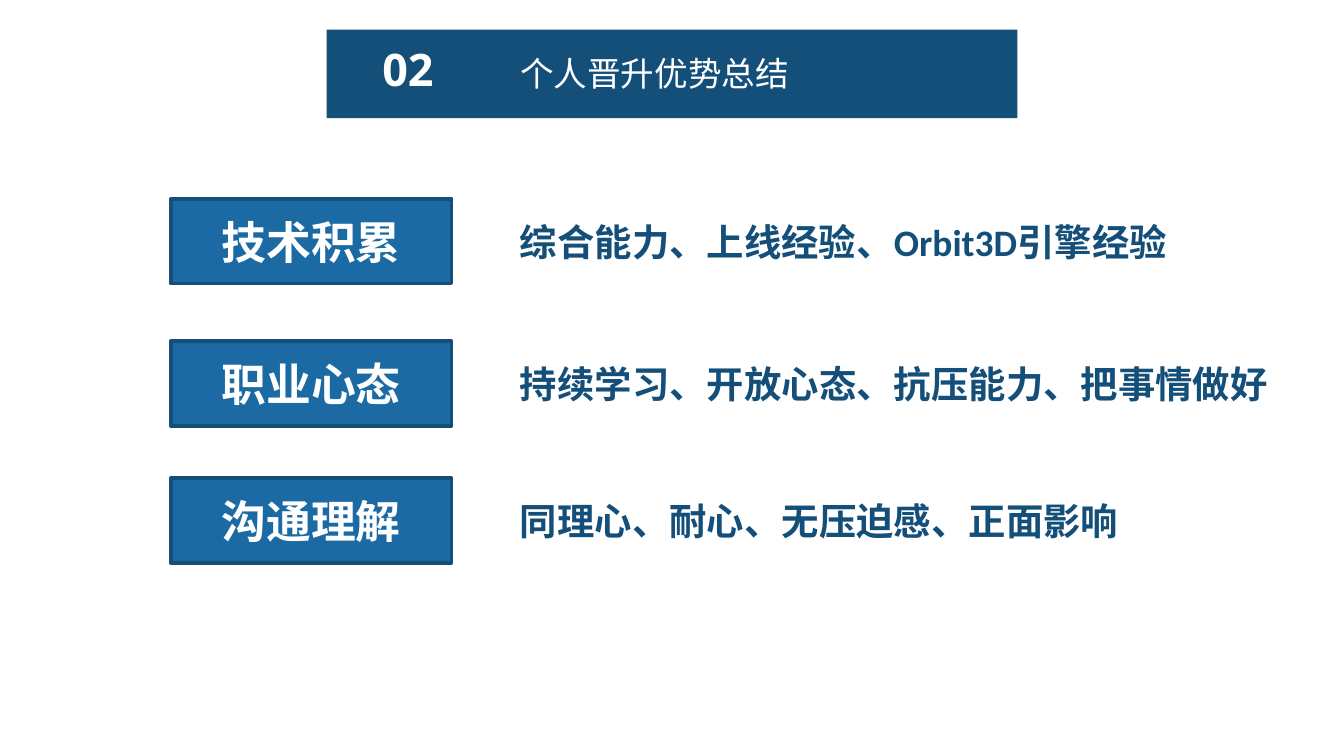
import pptx
import pptx.util
import pptx.dml.color
import pptx.enum.shapes
import pptx.enum.text
import pptx.oxml.ns
import lxml.etree
from pptx.util import Inches

NAVY = pptx.dml.color.RGBColor(0x14, 0x4F, 0x7A)
BORDER = pptx.dml.color.RGBColor(0x14, 0x4E, 0x79)
BLUE = pptx.dml.color.RGBColor(0x1B, 0x6A, 0xA3)
WHITE = pptx.dml.color.RGBColor(0xFF, 0xFF, 0xFF)
CJK = "Noto Sans CJK SC"
RECT = pptx.enum.shapes.MSO_SHAPE.RECTANGLE
ALIGN = pptx.enum.text.PP_ALIGN
ANCHOR = pptx.enum.text.MSO_ANCHOR


def write(sp, text, size, color, font="Calibri", bold=True, align=ALIGN.LEFT, anchor=ANCHOR.TOP):
    tf = sp.text_frame
    tf.word_wrap = True
    tf.auto_size = pptx.enum.text.MSO_AUTO_SIZE.NONE
    tf.vertical_anchor = anchor
    p = tf.paragraphs[0]
    p.alignment = align
    r = p.add_run()
    r.text = text
    r.font.size = pptx.util.Pt(size)
    r.font.bold = bold
    r.font.color.rgb = color
    r.font.name = font
    ea = lxml.etree.SubElement(r.font._element, pptx.oxml.ns.qn("a:ea"))
    ea.set("typeface", CJK)


prs = pptx.Presentation()
prs.slide_width = Inches(10)
prs.slide_height = Inches(10) * 9 // 16
s = prs.slides.add_slide(prs.slide_layouts[5])

title = s.shapes.title
title.left, title.top = Inches(3.77), Inches(0.34)
title.width, title.height = Inches(2.46), Inches(0.4)
write(title, "个人晋升优势总结", 18, WHITE, font=CJK, bold=False)

bar = s.shapes.add_shape(RECT, Inches(2.43), Inches(0.22), Inches(5.14), Inches(0.66))
bar.shadow.inherit = False
bar.fill.solid()
bar.fill.fore_color.rgb = NAVY
bar.line.fill.background()
title.element.addprevious(bar.element)

number = s.shapes.add_textbox(Inches(2.42), Inches(0.26), Inches(1.23), Inches(0.5))
write(number, "02", 24, WHITE, font="Open Sans", align=ALIGN.CENTER)
title.element.addprevious(number.element)

rows = [
    (1.48, "技术积累", "综合能力、上线经验、Orbit3D引擎经验", 5.1),
    (2.54, "职业心态", "持续学习、开放心态、抗压能力、把事情做好", 5.85),
    (3.56, "沟通理解", "同理心、耐心、无压迫感、正面影响", 4.72),
]
for top, label, detail, width in rows:
    box = s.shapes.add_shape(RECT, Inches(1.27), Inches(top), Inches(2.09), Inches(0.63))
    box.shadow.inherit = False
    box.fill.solid()
    box.fill.fore_color.rgb = BLUE
    box.line.color.rgb = BORDER
    box.line.width = pptx.util.Pt(2)
    write(box, label, 24, WHITE, align=ALIGN.CENTER, anchor=ANCHOR.MIDDLE)
    note = s.shapes.add_textbox(Inches(3.77), Inches(top + 0.1), Inches(width), Inches(0.44))
    write(note, detail, 20, NAVY)

prs.save("out.pptx")
